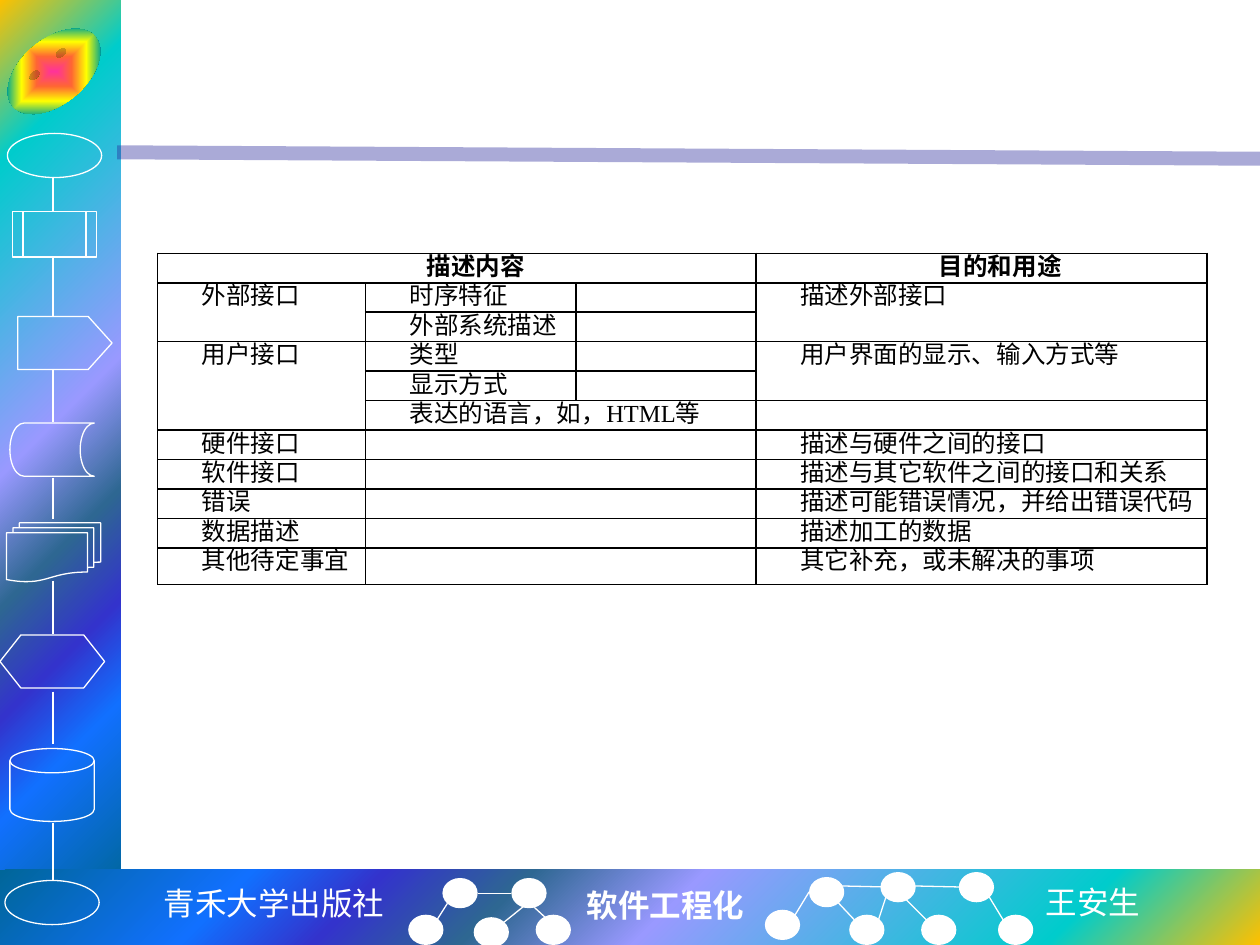
from lxml import etree
from pptx import Presentation
from pptx.dml.color import RGBColor
from pptx.enum.shapes import MSO_CONNECTOR, MSO_SHAPE
from pptx.enum.text import MSO_AUTO_SIZE, PP_ALIGN
from pptx.oxml import parse_xml
from pptx.oxml.ns import qn
from pptx.util import Cm, Pt

STRAIGHT = MSO_CONNECTOR.STRAIGHT
RECT, OVAL = MSO_SHAPE.RECTANGLE, MSO_SHAPE.OVAL
CENTER, JUSTIFY = PP_ALIGN.CENTER, PP_ALIGN.JUSTIFY
NS = 'xmlns:a="http://schemas.openxmlformats.org/drawingml/2006/main"'
COLORS = {"white": "FFFFFF", "black": "000000", "rule": "262699"}
BAND_STOPS = [(0, "FFC000"), (16, "00CCCC"), (47, "9999FF"), (60, "2E6792"),
              (71, "3333CC"), (81, "1170FF"), (100, "006699")]
FACE_STOPS = [(0, "FF3399"), (25, "FF6633"), (50, "FFFF00"),
              (75, "01A78F"), (100, "3366FF")]

prs = Presentation()
prs.slide_width, prs.slide_height = Cm(25.4), Cm(19.05)
slide = prs.slides.add_slide(prs.slide_layouts[6])


def add_shape(kind, box, stops=None, shade="circle", focus=(0, 0, 0, 0), outlined=True):
    """Preset shape, unfilled or with a path gradient around focus (l, t, r, b in %)."""
    shape = slide.shapes.add_shape(kind, *map(Cm, box))
    shape.shadow.inherit = False
    shape.fill.background()
    if stops:
        marks = "".join(f'<a:gs pos="{pos * 1000}"><a:srgbClr val="{color}"/></a:gs>'
                        for pos, color in stops)
        sides = " ".join(f'{side}="{value * 1000}"' for side, value in zip("ltrb", focus))
        no_fill = shape.element.spPr.find(qn("a:noFill"))
        no_fill.getparent().replace(no_fill, parse_xml(
            f'<a:gradFill {NS} rotWithShape="1"><a:gsLst>{marks}</a:gsLst>'
            f'<a:path path="{shade}"><a:fillToRect {sides}/></a:path></a:gradFill>'))
    if outlined:
        shape.line.color.rgb = RGBColor.from_string(COLORS["white"])
        shape.line.width = Pt(0.75)
    else:
        shape.line.fill.background()
    return shape


def add_line(ends, color="white", width=0.75):
    line = slide.shapes.add_connector(STRAIGHT, *map(Cm, ends))
    line.line.color.rgb = RGBColor.from_string(COLORS[color])
    line.line.width = Pt(width)
    etree.SubElement(line.element.spPr, qn("a:effectLst"))
    return line


# Side and bottom bands
add_shape(RECT, (0, 0, 2.44, 18.01), BAND_STOPS, focus=(0, 0, 100, 100), outlined=False)
add_shape(RECT, (0, 17.53, 25.4, 1.52), BAND_STOPS, focus=(100, 100, 0, 0), outlined=False)

# Translucent rule below the heading area
rule = add_line((2.36, 3.07, 25.4, 3.2), "rule", 8)
rule_color = rule.element.spPr.find(".//" + qn("a:srgbClr"))
etree.SubElement(rule_color, qn("a:alpha")).set("val", "39000")

# Flowchart symbols down the side
for kind, box in [
    (MSO_SHAPE.FLOWCHART_PREDEFINED_PROCESS, (0.25, 4.27, 1.7, 0.91)),
    (MSO_SHAPE.FLOWCHART_STORED_DATA, (0.2, 8.53, 1.7, 1.07)),
    (MSO_SHAPE.FLOWCHART_MAGNETIC_DISK, (0.2, 15.09, 1.7, 1.47)),
    (MSO_SHAPE.FLOWCHART_PREPARATION, (0, 12.8, 2.11, 1.07)),
    (MSO_SHAPE.FLOWCHART_MULTIDOCUMENT, (0.13, 10.54, 1.9, 1.19)),
    (OVAL, (0.15, 2.69, 1.9, 0.89)),
    (OVAL, (0.1, 17.75, 1.9, 0.89)),
]:
    add_shape(kind, box)
pentagon = add_shape(MSO_SHAPE.PENTAGON, (0.36, 6.38, 1.9, 1.07))
pentagon.adjustments[0] = 0.45
face = add_shape(MSO_SHAPE.SMILEY_FACE, (0, 0.79, 2.18, 1.3), FACE_STOPS,
                 "rect", (50, 50, 50, 50), outlined=False)
face.adjustments[0] = 0.05
face.rotation = -40

for top, bottom in [(3.56, 4.27), (5.21, 6.38), (7.44, 8.51), (9.63, 10.46),
                    (11.71, 12.78), (13.94, 14.99), (16.59, 17.75)]:
    add_line((1.07, top, 1.07, bottom))

# Small graphs in the footer
for left, top in [(8.92, 17.7), (16.31, 17.68), (8.23, 18.44), (17.12, 18.44),
                  (17.75, 17.58), (9.55, 18.49), (19.33, 17.58), (20.12, 18.44),
                  (18.57, 18.44), (10.31, 17.7), (15.42, 18.34), (10.8, 18.44)]:
    node = add_shape(OVAL, (left, top, 0.71, 0.61), outlined=False)
    node.fill.solid()
    node.fill.fore_color.rgb = RGBColor.from_string(COLORS["white"])

for ends in [
    (8.81, 18.54, 9.02, 18.21), (10.16, 18.59, 10.57, 18.26),
    (10.31, 18.01, 9.63, 18.01), (11.02, 18.52, 10.77, 18.29),
    (17.22, 18.54, 16.89, 18.19), (18.67, 18.54, 18.16, 18.03),
    (20.22, 18.54, 19.94, 18.08), (17.7, 18.57, 17.86, 18.08),
    (18.44, 17.86, 19.33, 17.88), (16.03, 18.44, 16.31, 17.98),
    (16.97, 17.86, 17.86, 17.88),
]:
    add_line(ends)

# Footer captions
for words, box, font, bold, align in [
    ("青禾大学出版社", (3.02, 17.7, 5, 1.02), "DejaVu Sans Mono", False, CENTER),
    ("软件工程化", (11.58, 17.73, 3.71, 1.02), "Times New Roman", True, None),
    ("王安生", (20.83, 17.68, 2.44, 1.02), "Noto Sans CJK SC", False, None),
]:
    caption = slide.shapes.add_textbox(*map(Cm, box)).text_frame
    caption.word_wrap = False
    caption.auto_size = MSO_AUTO_SIZE.SHAPE_TO_FIT_TEXT
    caption.text = words
    caption.paragraphs[0].alignment = align
    style = caption.paragraphs[0].runs[0].font
    style.name, style.size, style.bold = font, Pt(18), bold
    style.color.rgb = RGBColor.from_string(COLORS["white"])

# Interface table
ROWS = [
    ("描述内容", "", "", "目的和用途"),
    ("外部接口", "时序特征", "", "描述外部接口"),
    ("", "外部系统描述", "", ""),
    ("用户接口", "类型", "", "用户界面的显示、输入方式等"),
    ("", "显示方式", "", ""),
    ("", "表达的语言，如，HTML等", "", ""),
    ("硬件接口", "", "", "描述与硬件之间的接口"),
    ("软件接口", "", "", "描述与其它软件之间的接口和关系"),
    ("错误", "", "", "描述可能错误情况，并给出错误代码"),
    ("数据描述", "", "", "描述加工的数据"),
    ("其他待定事宜", "", "", "其它补充，或未解决的事项"),
]
COLUMN_WIDTHS = [4.19, 4.24, 3.63, 9.09]
ROW_HEIGHTS = [0.59] * 10 + [0.74]
MERGES = [(0, 0, 0, 2), (1, 0, 2, 0), (1, 3, 2, 3), (3, 0, 5, 0), (3, 3, 4, 3)]
MERGES += [(row, 1, row, 2) for row in range(5, len(ROWS))]

interfaces = slide.shapes.add_table(
    len(ROWS), len(COLUMN_WIDTHS), Cm(3.18), Cm(5.11),
    Cm(sum(COLUMN_WIDTHS)), Cm(sum(ROW_HEIGHTS))).table
interfaces.first_row = interfaces.horz_banding = False
for column, width in zip(interfaces.columns, COLUMN_WIDTHS):
    column.width = Cm(width)
for row, height in zip(interfaces.rows, ROW_HEIGHTS):
    row.height = Cm(height)

for row_no, entries in enumerate(ROWS):
    for column_no, entry in enumerate(entries):
        cell = interfaces.cell(row_no, column_no)
        cell.margin_left = cell.margin_right = Cm(0.13)
        cell.margin_top = cell.margin_bottom = 0
        cell.text_frame.text = entry
        paragraph = cell.text_frame.paragraphs[0]
        paragraph.alignment = CENTER if row_no == 0 else JUSTIFY
        paragraph.line_spacing = Pt(16.6)
        paragraph.font.size = Pt(14)
        paragraph._p.get_or_add_pPr().set("indent", str(Cm(0.76)))
        for run in paragraph.runs:
            run.font.name, run.font.size = "Times New Roman", Pt(14)
            run.font.bold = row_no == 0
            run.font.color.rgb = RGBColor.from_string(COLORS["black"])
        if not entry:
            etree.SubElement(paragraph._p, qn("a:endParaRPr")).set("sz", "1400")
        cell.fill.background()
        for position, side in enumerate(("lnL", "lnR", "lnT", "lnB")):
            cell._tc.get_or_add_tcPr().insert(position, parse_xml(
                f'<a:{side} {NS} w="12700"><a:solidFill>'
                f'<a:srgbClr val="{COLORS["black"]}"/></a:solidFill></a:{side}>'))

for top, left, bottom, right in MERGES:
    interfaces.cell(top, left).merge(interfaces.cell(bottom, right))

prs.save("out.pptx")
